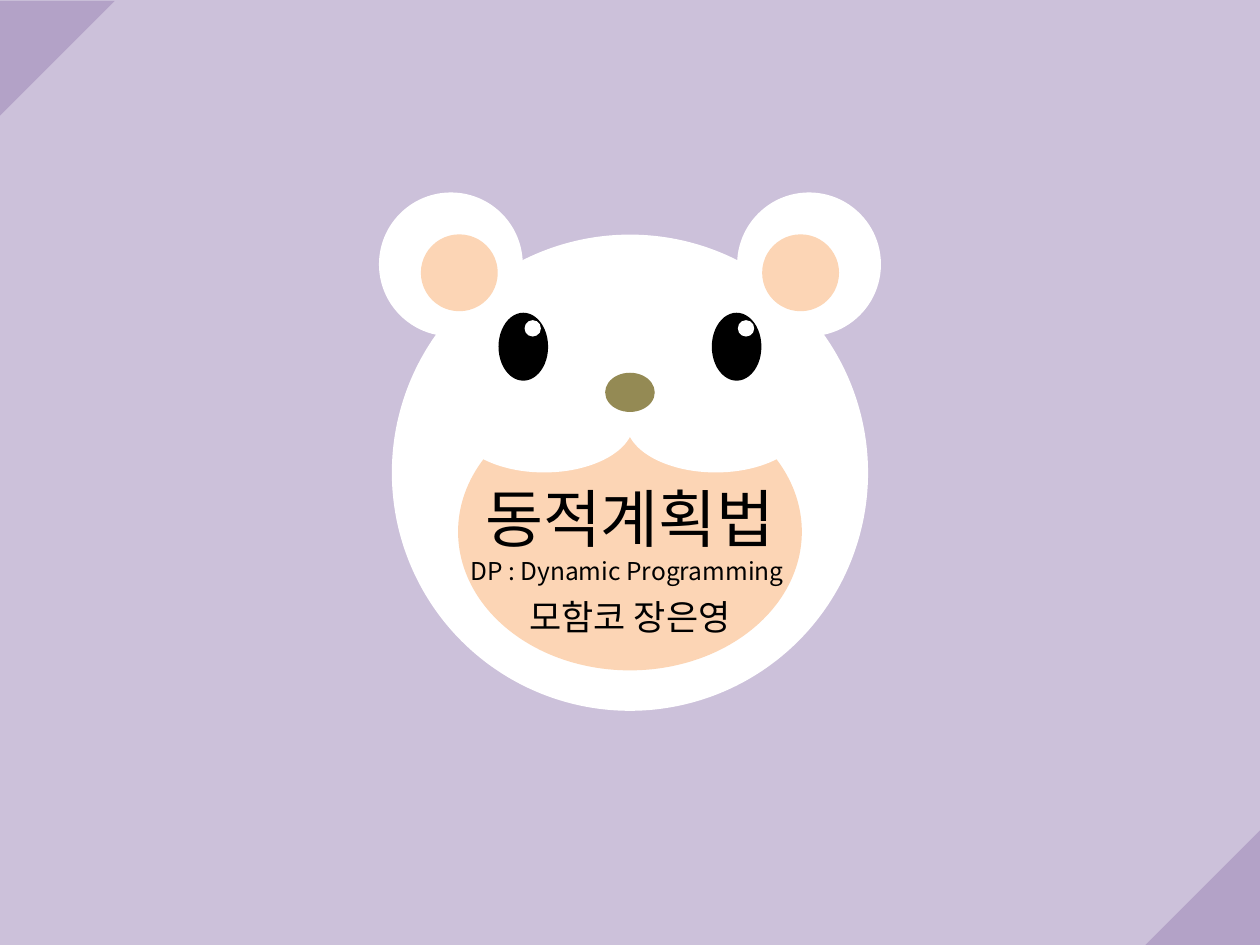
import pptx
import pptx.util
import pptx.dml.color
import pptx.enum.shapes
import pptx.enum.text
import pptx.oxml
import pptx.oxml.ns

Cm = pptx.util.Cm
SHAPE = pptx.enum.shapes.MSO_SHAPE
ANCHOR = pptx.enum.text.MSO_ANCHOR
FONT = "Noto Sans CJK KR"
WIDTH, HEIGHT = 25.4, 19.05
MIDDLE = WIDTH / 2
COLORS = {
    "background": "CCC1DA",
    "corner": "B3A2C7",
    "fur": "FFFFFF",
    "skin": "FCD5B5",
    "nose": "948A54",
    "black": "000000",
}


def rgb(name):
    return pptx.dml.color.RGBColor.from_string(COLORS[name])


def add_plain(s, kind, x, y, w, h, color, rotation=0):
    sp = s.shapes.add_shape(kind, Cm(x), Cm(y), Cm(w), Cm(h))
    sp.shadow.inherit = False
    sp.fill.solid()
    sp.fill.fore_color.rgb = rgb(color)
    sp.line.fill.background()
    sp.rotation = rotation


def add_oval(s, cx, cy, w, h, color):
    """Add an ellipse around its centre."""
    add_plain(s, SHAPE.OVAL, cx - w / 2, cy - h / 2, w, h, color)


def add_pair(s, offset, cy, w, h, color, shift=0):
    """Add two ellipses mirrored about the middle, both moved by shift."""
    for side in (-1, 1):
        add_oval(s, MIDDLE + side * offset + shift, cy, w, h, color)


def add_text(s, y, w, h, lines, anchor):
    """Add one centred paragraph of (text, size) lines."""
    box = s.shapes.add_textbox(Cm(MIDDLE - w / 2), Cm(y), Cm(w), Cm(h))
    tf = box.text_frame
    tf.word_wrap = True
    tf.vertical_anchor = anchor
    p = tf.paragraphs[0]
    p.alignment = pptx.enum.text.PP_ALIGN.CENTER
    p.font.name = FONT
    p.font.color.rgb = rgb("black")
    for i, (text, size) in enumerate(lines):
        if i:
            p.add_line_break()
        r = p.add_run()
        r.text = text
        r.font.size = pptx.util.Pt(size)
        ea = pptx.oxml.ns.qn("a:ea")
        r.font.name = FONT
        latin = r._r.rPr.find(pptx.oxml.ns.qn("a:latin"))
        latin.addnext(r._r.makeelement(ea, {"typeface": FONT}))


def add_bear(s):
    add_oval(s, MIDDLE, 9.53, 9.6, 9.6, "fur")
    add_oval(s, MIDDLE, 10.72, 6.93, 5.59, "skin")
    add_pair(s, 3.61, 5.33, 2.9, 2.9, "fur")
    add_pair(s, 3.44, 5.5, 1.55, 1.55, "skin")
    add_pair(s, 1.73, 8.52, 3.61, 2.01, "fur")
    add_pair(s, 2.15, 6.99, 1, 1.37, "black")
    add_pair(s, 2.15, 6.62, 0.33, 0.33, "fur", shift=0.19)
    add_oval(s, MIDDLE, 7.91, 1, 0.79, "nose")


def add_corners(s):
    side = 2.31
    add_plain(s, SHAPE.RIGHT_TRIANGLE, 0, 0.02, side, side, "corner", 90)
    add_plain(s, SHAPE.RIGHT_TRIANGLE, WIDTH - side, HEIGHT - side,
              side, side, "corner", 270)


def main():
    prs = pptx.Presentation()
    prs.slide_width, prs.slide_height = Cm(WIDTH), Cm(HEIGHT)
    s = prs.slides.add_slide(prs.slide_layouts[6])
    add_plain(s, SHAPE.RECTANGLE, 0, 0, WIDTH, HEIGHT, "background")
    add_bear(s)
    add_text(s, 11.89, 17.78, 4.88, [("모함코 장은영", 20)], ANCHOR.TOP)
    add_text(s, 8.69, 21.59, 4.09,
             [("동적계획법", 36), ("DP : Dynamic Programming ", 14)],
             ANCHOR.MIDDLE)
    add_corners(s)
    prs.save("out.pptx")


if __name__ == "__main__":
    main()
